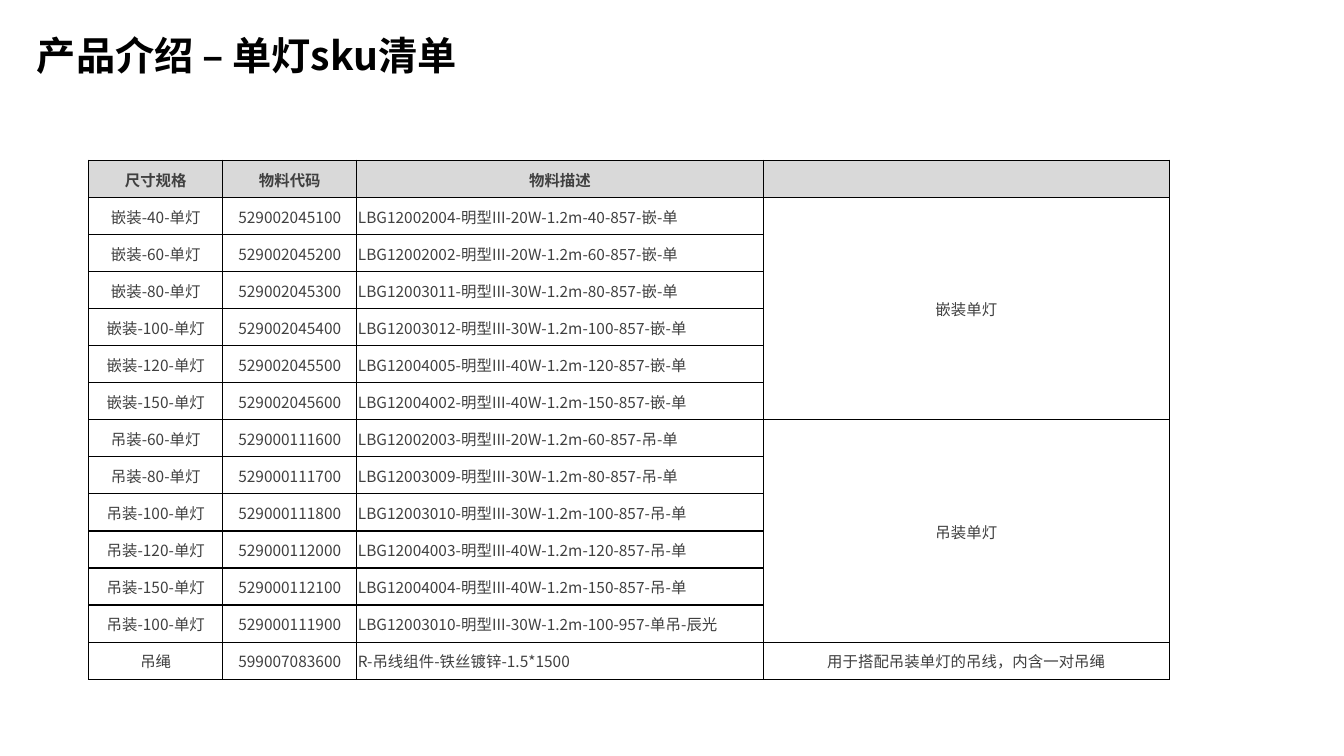
import pptx
import pptx.util
import pptx.dml.color
import pptx.enum.text
import pptx.oxml.ns
import lxml.etree

FACE = "Noto Sans CJK SC"
WIDE, HIGH = 13.33, 7.5
ALIGN = pptx.enum.text.PP_ALIGN
ANCHOR = pptx.enum.text.MSO_ANCHOR
INCH = pptx.util.Inches

HEAD = ("尺寸规格", "物料代码", "物料描述", "")
ITEMS = [
    ("嵌装-40-单灯", "529002045100", "LBG12002004-明型III-20W-1.2m-40-857-嵌-单"),
    ("嵌装-60-单灯", "529002045200", "LBG12002002-明型III-20W-1.2m-60-857-嵌-单"),
    ("嵌装-80-单灯", "529002045300", "LBG12003011-明型III-30W-1.2m-80-857-嵌-单"),
    ("嵌装-100-单灯", "529002045400", "LBG12003012-明型III-30W-1.2m-100-857-嵌-单"),
    ("嵌装-120-单灯", "529002045500", "LBG12004005-明型III-40W-1.2m-120-857-嵌-单"),
    ("嵌装-150-单灯", "529002045600", "LBG12004002-明型III-40W-1.2m-150-857-嵌-单"),
    ("吊装-60-单灯", "529000111600", "LBG12002003-明型III-20W-1.2m-60-857-吊-单"),
    ("吊装-80-单灯", "529000111700", "LBG12003009-明型III-30W-1.2m-80-857-吊-单"),
    ("吊装-100-单灯", "529000111800", "LBG12003010-明型III-30W-1.2m-100-857-吊-单"),
    ("吊装-120-单灯", "529000112000", "LBG12004003-明型III-40W-1.2m-120-857-吊-单"),
    ("吊装-150-单灯", "529000112100", "LBG12004004-明型III-40W-1.2m-150-857-吊-单"),
    ("吊装-100-单灯", "529000111900", "LBG12003010-明型III-30W-1.2m-100-957-单吊-辰光"),
    ("吊绳", "599007083600", "R-吊线组件-铁丝镀锌-1.5*1500"),
]
GROUPS = [
    (1, 6, "嵌装单灯"),
    (7, 12, "吊装单灯"),
    (13, 13, "用于搭配吊装单灯的吊线，内含一对吊绳"),
]


def apply(item, form):
    for key, value in form.items():
        setattr(item, key, value)


def paint(item, color):
    item.rgb = pptx.dml.color.RGBColor.from_string(color)


def write(frame, text, size, color, bold, align):
    para = frame.paragraphs[0]
    para.alignment = align
    run = para.add_run()
    run.text = text
    paint(run.font.color, color)
    apply(run.font, {"size": pptx.util.Pt(size), "bold": bold, "name": FACE})
    east = lxml.etree.SubElement(run.font._element, pptx.oxml.ns.qn("a:ea"))
    east.set("typeface", FACE)
    return para


def border(cell):
    props = cell._tc.get_or_add_tcPr()
    for side in ("lnL", "lnR", "lnT", "lnB"):
        line = lxml.etree.SubElement(props, pptx.oxml.ns.qn("a:" + side), w="12700")
        fill = lxml.etree.SubElement(line, pptx.oxml.ns.qn("a:solidFill"))
        lxml.etree.SubElement(fill, pptx.oxml.ns.qn("a:srgbClr"), val="000000")


def add_title(slide, left, top, width, height):
    title = slide.shapes.title
    apply(title, {"left": INCH(left), "top": INCH(top),
                  "width": INCH(width), "height": INCH(height)})
    frame = title.text_frame
    apply(frame, {"word_wrap": True, "vertical_anchor": ANCHOR.TOP,
                  "margin_top": INCH(0.09),
                  "auto_size": pptx.enum.text.MSO_AUTO_SIZE.NONE})
    para = write(frame, "产品介绍 – 单灯sku清单", 28, "000000", True, ALIGN.LEFT)
    para.line_spacing = 0.83


def add_list(slide, left, top, width, height):
    rows = [HEAD] + [item + ("",) for item in ITEMS]
    box = [INCH(part) for part in (left, top, width, height)]
    table = slide.shapes.add_table(len(rows), len(HEAD), *box).table
    apply(table, {"first_row": False, "horz_banding": False})
    shares = (1, 1, 3.03, 3.03)
    for col, share in zip(table.columns, shares):
        col.width = INCH(width * share / sum(shares))
    notes = {first: text for first, last, text in GROUPS}
    for r, row in enumerate(rows):
        table.rows[r].height = INCH(height / len(rows))
        for c, text in enumerate(row):
            cell = table.cell(r, c)
            thin = INCH(0.01)
            apply(cell, {"margin_left": thin, "margin_right": thin,
                         "margin_top": thin, "margin_bottom": 0,
                         "vertical_anchor": ANCHOR.MIDDLE})
            border(cell)
            cell.fill.solid()
            paint(cell.fill.fore_color, "FFFFFF" if r else "D9D9D9")
            text = text or notes.get(r, "")
            if text:
                align = ALIGN.LEFT if r and c == 2 else ALIGN.CENTER
                write(cell.text_frame, text, 11, "404040", r == 0, align)
    for first, last, text in GROUPS:
        if last > first:
            table.cell(first, 3).merge(table.cell(last, 3))


def main():
    deck = pptx.Presentation()
    apply(deck, {"slide_width": INCH(WIDE), "slide_height": INCH(HIGH)})
    slide = deck.slides.add_slide(deck.slide_layouts.get_by_name("Title Only"))
    add_title(slide, 0.02 * WIDE, 0.04 * HIGH, 4.47, 0.57)
    add_list(slide, 0.88, 1.59, 10.72, 5.15)
    deck.save("out.pptx")


if __name__ == "__main__":
    main()
